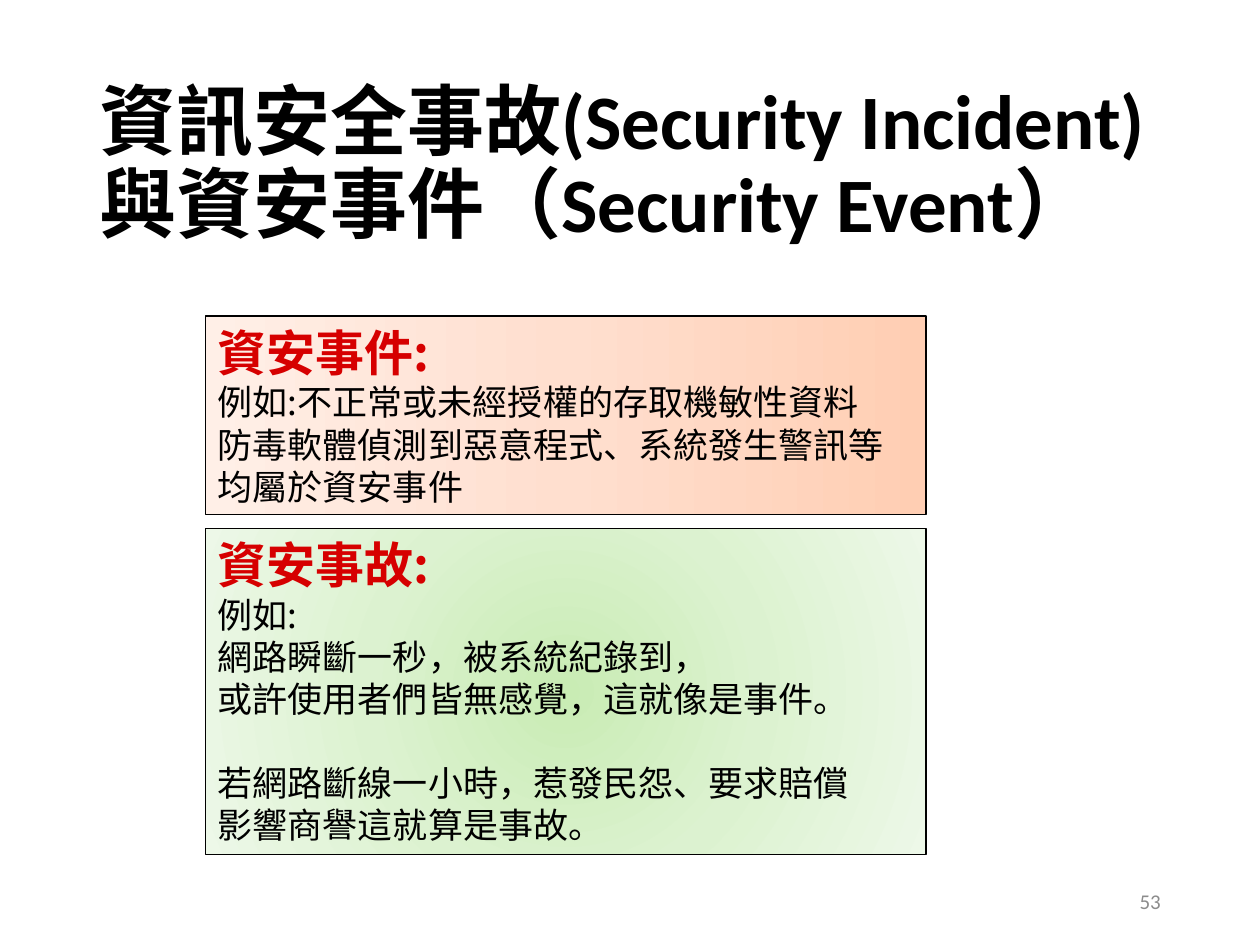
from dataclasses import dataclass

from lxml import etree
from pptx import Presentation
from pptx import util as u
from pptx.dml.color import RGBColor
from pptx.enum import shapes, text
from pptx.oxml import parse_xml
from pptx.oxml.ns import nsdecls, qn

BLACK = RGBColor(0x00, 0x00, 0x00)
GREY = RGBColor(0x8C, 0x8C, 0x8C)
RED = RGBColor(0xD6, 0x00, 0x00)
ORANGES = (RGBColor(0xFF, 0xCE, 0xB3), RGBColor(0xFF, 0xDF, 0xCF), RGBColor(0xFF, 0xEF, 0xE7))
GREENS = (RGBColor(0xC9, 0xEC, 0xB4), RGBColor(0xDC, 0xF2, 0xD0), RGBColor(0xED, 0xF8, 0xE8))

LATIN_FONT = "Calibri"
CJK_FONT = "Noto Sans CJK TC"

RIGHT_TO_LEFT = '<a:lin ang="10800000" scaled="0"/>'
FROM_CENTRE = ('<a:path path="circle"><a:fillToRect l="50000" t="50000" '
               'r="50000" b="50000"/></a:path>')

PANEL_LEFT = u.Cm(4.14)
PANEL_WIDTH = u.Cm(14.53)


@dataclass
class Panel:
    top: u.Length
    height: u.Length
    colors: tuple[RGBColor, ...]
    direction: str
    heading: str
    groups: list[list[str]]


PANELS = [
    Panel(u.Cm(6.37), u.Cm(4.01), ORANGES, RIGHT_TO_LEFT, "資安事件:",
          [["例如:不正常或未經授權的存取機敏性資料",
            "防毒軟體偵測到惡意程式、系統發生警訊等",
            "均屬於資安事件"]]),
    Panel(u.Cm(10.65), u.Cm(6.58), GREENS, FROM_CENTRE, "資安事故:",
          [["例如:",
            "網路瞬斷一秒，被系統紀錄到，",
            "或許使用者們皆無感覺，這就像是事件。"],
           ["若網路斷線一小時，惹發民怨、要求賠償",
            "影響商譽這就算是事故。"]]),
]


def format_runs(paragraph, size: int, color: RGBColor, font: str, bold: bool = False) -> None:
    for run in paragraph.runs:
        run.font.size = u.Pt(size)
        run.font.bold = bold
        run.font.color.rgb = color
        run.font.name = font
        east_asian = etree.SubElement(run._r.get_or_add_rPr(), qn("a:ea"))
        east_asian.set("typeface", CJK_FONT)


def add_label(slide, left, top, width, height, label: str):
    """Add a wrapped, vertically centred text box and return its paragraph."""
    frame = slide.shapes.add_textbox(left, top, width, height).text_frame
    frame.word_wrap = True
    frame.vertical_anchor = text.MSO_ANCHOR.MIDDLE
    frame.text = label
    return frame.paragraphs[0]


def fill_gradient(shape, colors: tuple[RGBColor, ...], direction: str) -> None:
    """Fill with evenly spaced stops along a linear or radial direction."""
    step = 100000 // (len(colors) - 1)
    stops = "".join(f'<a:gs pos="{index * step}"><a:srgbClr val="{color}"/></a:gs>'
                    for index, color in enumerate(colors))
    gradient = parse_xml(f'<a:gradFill {nsdecls("a")} rotWithShape="1">'
                         f'<a:gsLst>{stops}</a:gsLst>{direction}</a:gradFill>')
    shape.fill.background()
    properties = shape._element.spPr
    properties.replace(properties.find(qn("a:noFill")), gradient)


def add_panel(slide, panel: Panel) -> None:
    shape = slide.shapes.add_shape(shapes.MSO_SHAPE.RECTANGLE, PANEL_LEFT, panel.top,
                                   PANEL_WIDTH, panel.height)
    shape.shadow.inherit = False
    fill_gradient(shape, panel.colors, panel.direction)
    shape.line.color.rgb = BLACK
    shape.line.width = u.Pt(0.75)

    frame = shape.text_frame
    frame.word_wrap = True
    frame.vertical_anchor = text.MSO_ANCHOR.TOP
    frame.text = panel.heading
    format_runs(frame.paragraphs[0], 28, RED, CJK_FONT, bold=True)
    for group_index, group in enumerate(panel.groups):
        for line_index, line in enumerate(group):
            paragraph = frame.add_paragraph()
            paragraph.text = line
            if group_index > 0 and line_index == 0:
                paragraph.space_before = u.Pt(24)
            format_runs(paragraph, 20, BLACK, CJK_FONT)
    for paragraph in frame.paragraphs:
        paragraph.alignment = text.PP_ALIGN.LEFT


def main() -> None:
    presentation = Presentation()
    presentation.slide_width = u.Cm(25.4)
    presentation.slide_height = u.Cm(19.05)
    slide = presentation.slides.add_slide(presentation.slide_layouts[6])

    title = add_label(slide, u.Cm(1.75), u.Cm(1.5), u.Cm(21.9), u.Cm(3.68),
                      "資訊安全事故(Security Incident)與資安事件（Security Event）")
    title.line_spacing = 0.9
    format_runs(title, 44, BLACK, LATIN_FONT, bold=True)

    for panel in PANELS:
        add_panel(slide, panel)

    number = add_label(slide, u.Cm(17.93), u.Cm(17.65), u.Cm(5.72), u.Cm(1.02), "53")
    number.alignment = text.PP_ALIGN.RIGHT
    format_runs(number, 12, GREY, LATIN_FONT)

    presentation.save("out.pptx")


if __name__ == "__main__":
    main()
